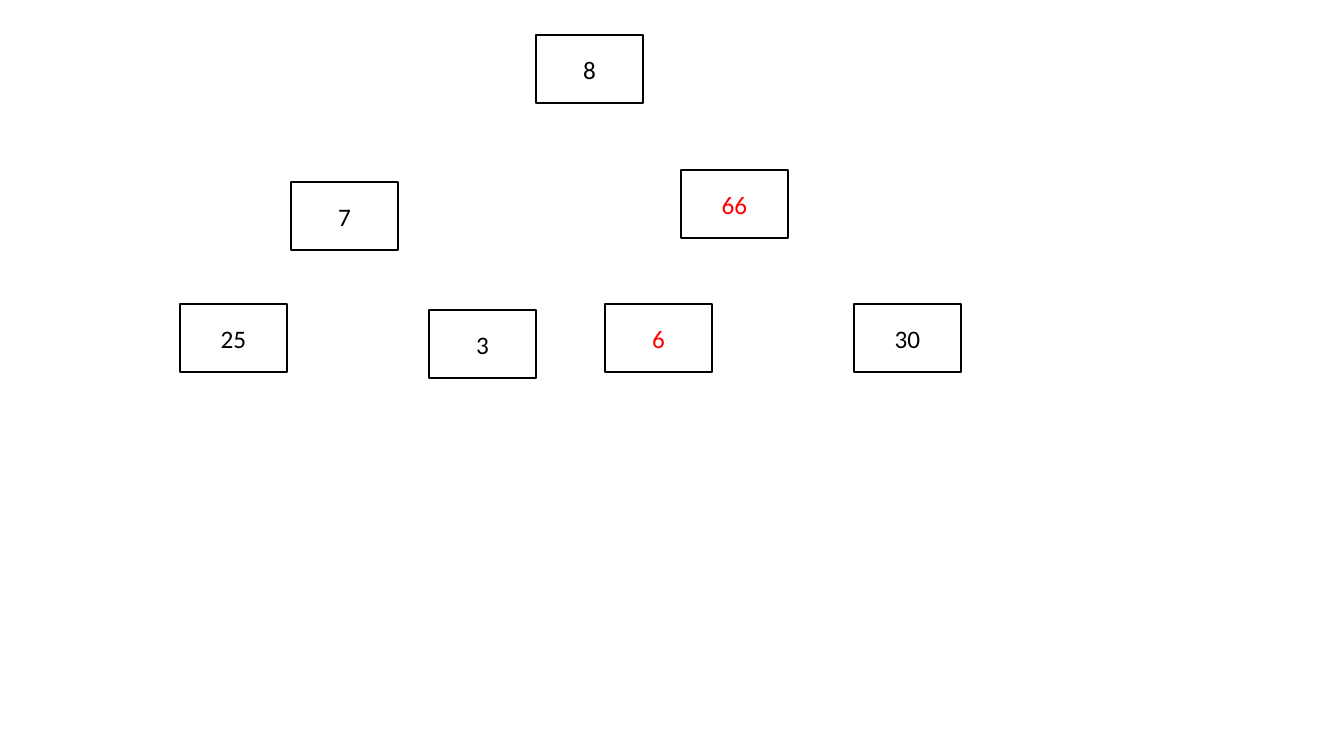
from dataclasses import dataclass

from pptx import Presentation
from pptx.dml.color import RGBColor
from pptx.enum.shapes import MSO_SHAPE
from pptx.enum.text import MSO_ANCHOR, PP_ALIGN
from pptx.util import Emu, Pt

SLIDE_SIZE = (1344, 756)
NODE_SIZE = (107, 68)
TREE_NODES = [
    ("8", 536, 35),
    ("7", 291, 182),
    ("6", 605, 304),
    ("25", 180, 304),
    ("3", 429, 310),
    ("66", 681, 170),
    ("30", 854, 304),
]
SWAPPED_VALUES = {"6", "66"}


@dataclass(frozen=True)
class Theme:
    font: str = "Calibri"
    text_size: int = 18
    line_width: int = 1
    ink: str = "000000"
    paper: str = "FFFFFF"
    highlight: str = "FF0000"


THEME = Theme()


def px(length):
    return Emu(round(length * 914400 / 100.8))


def write_text(shape, text, *, color, size=THEME.text_size, font=THEME.font):
    frame = shape.text_frame
    frame.vertical_anchor = MSO_ANCHOR.MIDDLE
    paragraph = frame.paragraphs[0]
    paragraph.alignment = PP_ALIGN.CENTER
    run = paragraph.add_run()
    run.text = text
    run.font.name = font
    run.font.size = Pt(size)
    run.font.color.rgb = RGBColor.from_string(color)


def add_node(slide, value, left, top):
    shape = slide.shapes.add_shape(
        MSO_SHAPE.RECTANGLE, px(left), px(top), *map(px, NODE_SIZE)
    )
    shape.shadow.inherit = False
    shape.fill.solid()
    shape.fill.fore_color.rgb = RGBColor.from_string(THEME.paper)
    shape.line.color.rgb = RGBColor.from_string(THEME.ink)
    shape.line.width = Pt(THEME.line_width)
    color = THEME.highlight if value in SWAPPED_VALUES else THEME.ink
    write_text(shape, value, color=color)


def main():
    presentation = Presentation()
    presentation.slide_width, presentation.slide_height = map(px, SLIDE_SIZE)
    slide = presentation.slides.add_slide(presentation.slide_layouts[6])
    for value, left, top in TREE_NODES:
        add_node(slide, value, left, top)
    presentation.save("out.pptx")


if __name__ == "__main__":
    main()
